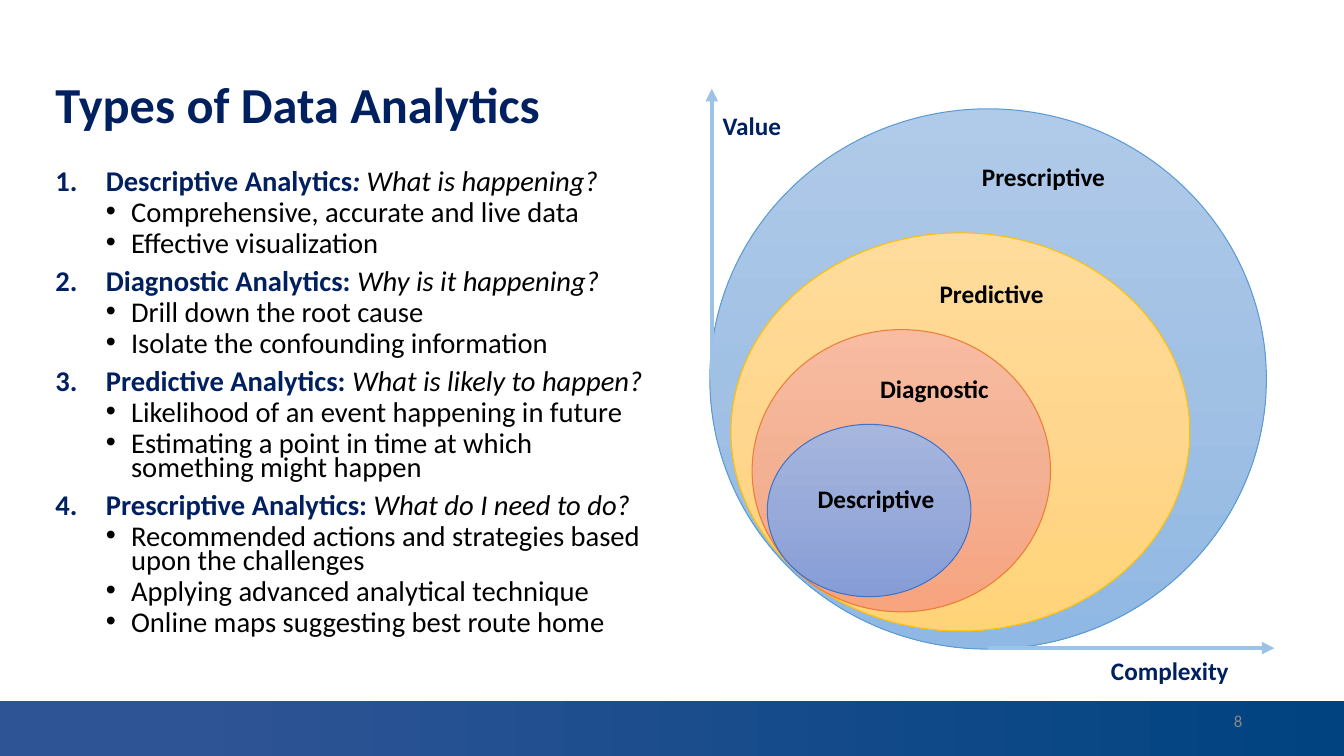
"""Builds a slide on the four types of data analytics, with a nested-circle diagram."""
from copy import deepcopy
from dataclasses import dataclass

from pptx import Presentation
from pptx.dml.color import RGBColor
from pptx.enum.shapes import MSO_CONNECTOR, MSO_SHAPE
from pptx.enum.text import MSO_ANCHOR, MSO_AUTO_SIZE, PP_ALIGN
from pptx.oxml.ns import qn
from pptx.oxml.xmlchemy import OxmlElement
from pptx.util import Inches, Pt

RECT = MSO_SHAPE.RECTANGLE
CIRCLE = MSO_SHAPE.FLOWCHART_CONNECTOR
STRAIGHT = MSO_CONNECTOR.STRAIGHT
LEFT, RIGHT = PP_ALIGN.LEFT, PP_ALIGN.RIGHT
TOP, MIDDLE = MSO_ANCHOR.TOP, MSO_ANCHOR.MIDDLE
NO_FIT = MSO_AUTO_SIZE.NONE


@dataclass(frozen=True)
class Theme:
    font: str = "Calibri"
    navy: str = "002060"
    black: str = "000000"
    grey: str = "888888"
    axis: str = "9CC2E5"
    band: tuple = ((0, "2F5496"), (0.13, "2F5496"), (1, "004380"))
    title: float = 36
    body: float = 20.4
    label: float = 18
    number: float = 12


RINGS = [
    ("Prescriptive", (7.04, 1.08, 5.52, 5.36), (9.64, 1.55), ("B0CAE9", "A1C1E4", "90B8E4"), "5B9BD5"),
    ("Predictive", (7.25, 2.31, 4.55, 3.95), (9.22, 2.71), ("FFDC9B", "FFD68D", "FFD478"), "FFC000"),
    ("Diagnostic", (7.46, 3.27, 2.96, 2.8), (8.63, 3.65), ("F7BCA2", "F4B093", "F7A47F"), "ED7D31"),
    ("Descriptive", (7.61, 4.21, 2.02, 1.71), (8.01, 4.75), ("A6B6DE", "98AAD9", "859CD7"), "4472C4"),
]

TOPICS = [
    ("Descriptive Analytics", "What is happening?",
     ["Comprehensive, accurate and live data", "Effective visualization"]),
    ("Diagnostic Analytics", "Why is it happening?",
     ["Drill down the root cause", "Isolate the confounding information"]),
    ("Predictive Analytics", "What is likely to happen?",
     ["Likelihood of an event happening in future",
      "Estimating a point in time at which something might happen"]),
    ("Prescriptive Analytics", "What do I need to do?",
     ["Recommended actions and strategies based upon the challenges",
      "Applying advanced analytical technique",
      "Online maps suggesting best route home"]),
]


class SlideBuilder:
    def __init__(self, prs, theme):
        self.theme = theme
        self.s = prs.slides.add_slide(prs.slide_layouts[1])

    def run(self, p, text, size, color, bold=False, italic=False):
        r = p.add_run()
        r.text = text
        r.font.name = self.theme.font
        r.font.size = Pt(size)
        r.font.bold = bold
        r.font.italic = italic
        r.font.color.rgb = RGBColor.from_string(color)

    def place(self, sp, box, anchor):
        sp.left, sp.top, sp.width, sp.height = map(Inches, box)
        tf = sp.text_frame
        tf.word_wrap = True
        tf.auto_size = NO_FIT
        tf.vertical_anchor = anchor
        return tf

    def title(self, text, box):
        p = self.place(self.s.shapes.title, box, MIDDLE).paragraphs[0]
        p.alignment = LEFT
        p.line_spacing = 0.9
        self.run(p, text, self.theme.title, self.theme.navy, bold=True)

    def bullet(self, p, indent, hang, color, tag, **attrs):
        pPr = p._p.get_or_add_pPr()
        pPr.set("marL", str(Inches(indent)))
        pPr.set("indent", str(-Inches(hang)))
        buClr = OxmlElement("a:buClr")
        srgb = OxmlElement("a:srgbClr")
        srgb.set("val", color)
        buClr.append(srgb)
        bu = OxmlElement(tag)
        for name, value in attrs.items():
            bu.set(name, value)
        pPr.extend([buClr, bu])

    def list_item(self, tf, level, space):
        p = tf.add_paragraph() if tf.paragraphs[0].runs else tf.paragraphs[0]
        p.level = level
        p.line_spacing = 0.7
        p.space_before = Pt(space)
        return p

    def topics(self, topics, box):
        th = self.theme
        tf = self.place(self.s.placeholders[1], box, TOP)
        for i, (name, question, points) in enumerate(topics):
            p = self.list_item(tf, 0, 10 if i else 0)
            self.bullet(p, 0.5, 0.5, th.navy, "a:buAutoNum", type="arabicPeriod")
            self.run(p, name, th.body, th.navy, bold=True)
            self.run(p, ": ", th.body, th.navy, bold=True, italic=i == 0)
            self.run(p, question, th.body, th.black, italic=True)
            for point in points:
                p = self.list_item(tf, 1, 5)
                self.bullet(p, 0.75, 0.25, th.black, "a:buChar", char="•")
                self.run(p, point, th.body, th.black)

    def text(self, text, box, size, color, bold=True, align=LEFT, anchor=TOP):
        tf = self.place(self.s.shapes.add_textbox(0, 0, 0, 0), box, anchor)
        p = tf.paragraphs[0]
        p.alignment = align
        self.run(p, text, size, color, bold)

    def shape(self, kind, box, stops, angle, line=None):
        sp = self.s.shapes.add_shape(kind, *map(Inches, box))
        sp.shadow.inherit = False
        sp.fill.gradient()
        sp.fill.gradient_angle = angle
        gs_list = sp._element.spPr.find(qn("a:gradFill")).find(qn("a:gsLst"))
        gs_list.append(deepcopy(gs_list[0]))
        for stop, (position, color) in zip(sp.fill.gradient_stops, stops):
            stop.position = position
            stop.color.rgb = RGBColor.from_string(color)
        if line:
            sp.line.color.rgb = RGBColor.from_string(line)
            sp.line.width = Pt(0.75)
        else:
            sp.line.fill.background()

    def arrow(self, *ends):
        c = self.s.shapes.add_connector(STRAIGHT, *map(Inches, ends))
        c.line.color.rgb = RGBColor.from_string(self.theme.axis)
        c.line.width = Pt(3)
        tail = OxmlElement("a:tailEnd")
        tail.set("type", "triangle")
        c.line._get_or_add_ln().append(tail)
        c._element.spPr.append(OxmlElement("a:effectLst"))


def main():
    prs = Presentation()
    prs.slide_width, prs.slide_height = Inches(13.33), Inches(7.5)
    th = Theme()
    b = SlideBuilder(prs, th)
    b.shape(RECT, (0, 6.95, 13.33, 0.55), th.band, 0)
    b.title("Types of Data Analytics", (0.45, 0.27, 11.96, 1.58))
    b.topics(TOPICS, (0.45, 1.66, 6.09, 5.09))
    b.text("8", (9.42, 6.95, 3, 0.4), th.number, th.grey, False, RIGHT, MIDDLE)
    for _, box, _, colors, line in RINGS:
        b.shape(CIRCLE, box, zip((0, 0.5, 1), colors), 270, line)
    for name, _, spot, _, _ in RINGS:
        b.text(name, (*spot, 2.29, 0.4), th.label, th.black)
    b.arrow(7.06, 3.76, 7.06, 0.88)
    b.arrow(9.8, 6.43, 12.64, 6.43)
    b.text("Value", (7.07, 1.05, 1.13, 0.4), th.label, th.navy)
    b.text("Complexity", (10.92, 6.45, 1.72, 0.4), th.label, th.navy)
    prs.save("out.pptx")


if __name__ == "__main__":
    main()
